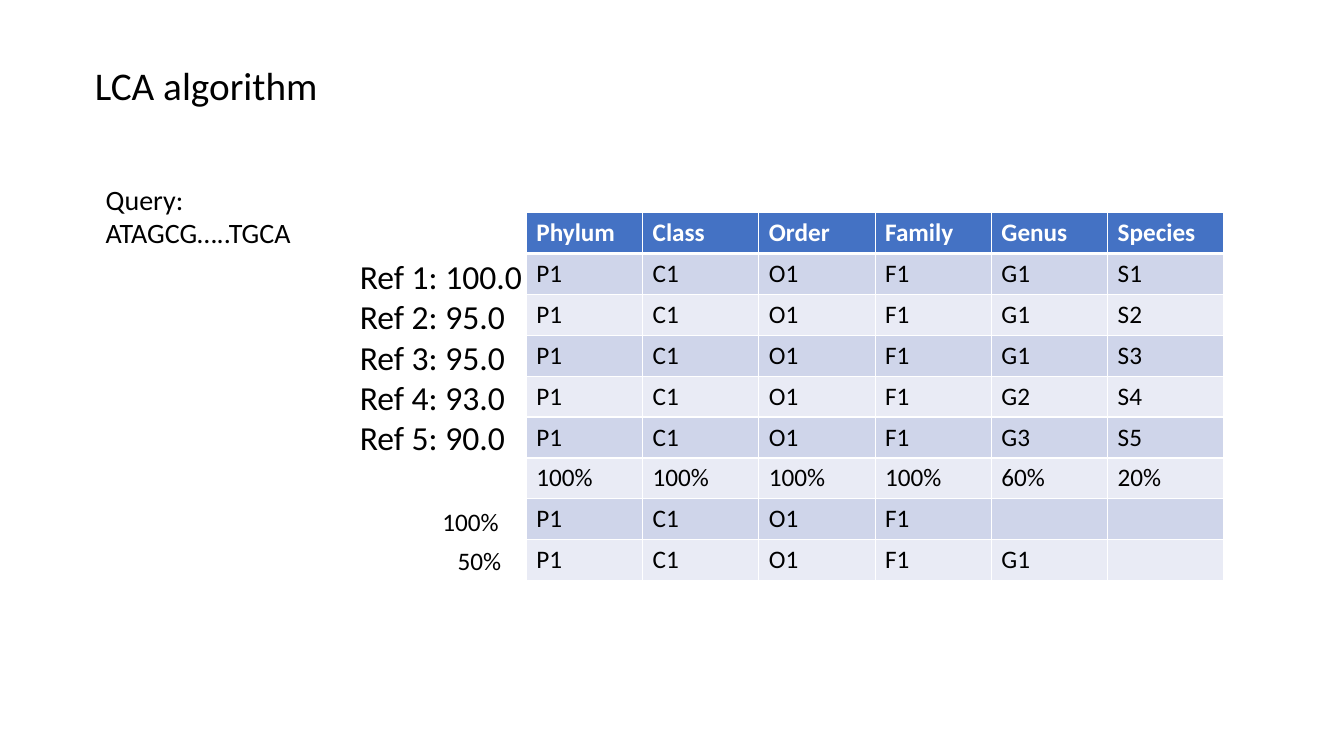
from pptx import Presentation
from pptx.dml.color import RGBColor
from pptx.enum.text import MSO_ANCHOR, MSO_AUTO_SIZE, PP_ALIGN
from pptx.oxml.ns import qn
from pptx.util import Inches, Pt
from lxml import etree

LEFT = PP_ALIGN.LEFT
TOP = MSO_ANCHOR.TOP
GROW = MSO_AUTO_SIZE.SHAPE_TO_FIT_TEXT
FONT = "Calibri"
COLORS = {
    "text": "000000",
    "white": "FFFFFF",
    "head": "4472C4",
    "odd": "CFD5EA",
    "even": "E9EBF5",
}
RANKS = ["Phylum", "Class", "Order", "Family", "Genus", "Species"]
BASE = ["P1", "C1", "O1", "F1"]
ROWS = [
    RANKS,
    BASE + ["G1", "S1"],
    BASE + ["G1", "S2"],
    BASE + ["G1", "S3"],
    BASE + ["G2", "S4"],
    BASE + ["G3", "S5"],
    ["100%"] * 4 + ["60%", "20%"],
    BASE + ["", ""],
    BASE + ["G1", ""],
]
SCORES = ["100.0", "95.0", "95.0", "93.0", "90.0"]


def color(name):
    """Return the named colour."""
    return RGBColor.from_string(COLORS[name])


def add_run(para, text, size, tint="text", bold=False):
    """Add one formatted run to a paragraph."""
    run = para.add_run()
    run.text = text
    font = run.font
    font.name, font.size, font.bold = FONT, Pt(size), bold
    font.color.rgb = color(tint)


def fill_text(shape, box, lines, size, wrap=False):
    """Place a shape and write its lines, one paragraph each."""
    shape.left, shape.top, shape.width, shape.height = map(Inches, box)
    frame = shape.text_frame
    frame.word_wrap = wrap
    frame.auto_size = GROW
    frame.vertical_anchor = TOP
    for i, line in enumerate(lines):
        para = frame.add_paragraph() if i else frame.paragraphs[0]
        para.alignment = LEFT
        add_run(para, line, size)


def add_text(slide, box, lines, size, wrap=False):
    """Add a text box."""
    shape = slide.shapes.add_textbox(*map(Inches, box))
    fill_text(shape, box, lines, size, wrap)


def add_edge(cell, side, width):
    """Draw one white border of a cell."""
    props = cell._tc.get_or_add_tcPr()
    line = etree.SubElement(props, qn("a:ln" + side), w=str(Pt(width)))
    solid = etree.SubElement(line, qn("a:solidFill"))
    etree.SubElement(solid, qn("a:srgbClr"), val=COLORS["white"])


def style_cell(cell, row, text):
    """Write, fill and border one cell."""
    head = row == 0
    thick = {"T": row == 1, "B": head}
    for side in "LRTB":
        add_edge(cell, side, 3 if thick.get(side) else 1)
    cell.fill.solid()
    cell.fill.fore_color.rgb = color("head" if head else "odd" if row % 2 else "even")
    if text:
        add_run(cell.text_frame.paragraphs[0], text, 18, "white" if head else "text", head)


def add_grid(slide, box, rows):
    """Add the table of ranks with equal rows and columns."""
    table = slide.shapes.add_table(len(rows), len(rows[0]), *map(Inches, box)).table
    for r, row in enumerate(rows):
        for c, text in enumerate(row):
            style_cell(table.cell(r, c), r, text)


def main():
    """Build the slide and save it."""
    deck = Presentation()
    deck.slide_width, deck.slide_height = Inches(13.33), Inches(7.5)
    slide = deck.slides.add_slide(deck.slide_layouts[5])
    fill_text(slide.shapes.title, (0.84, 0.56, 2.43, 0.57), ["LCA algorithm"], 28)
    add_text(slide, (0.95, 1.76, 2.05, 0.77), ["Query:", "ATAGCG…..TGCA"], 20)
    refs = [f"Ref {i}: {score}" for i, score in enumerate(SCORES, 1)]
    add_text(slide, (3.47, 2.49, 2.58, 2.12), refs, 24, True)
    add_grid(slide, (5.22, 2.11, 6.92, 3.65), ROWS)
    add_text(slide, (4.29, 4.97, 0.77, 0.4), ["100%"], 18)
    add_text(slide, (4.44, 5.36, 0.64, 0.4), ["50%"], 18)
    deck.save("out.pptx")


if __name__ == "__main__":
    main()
